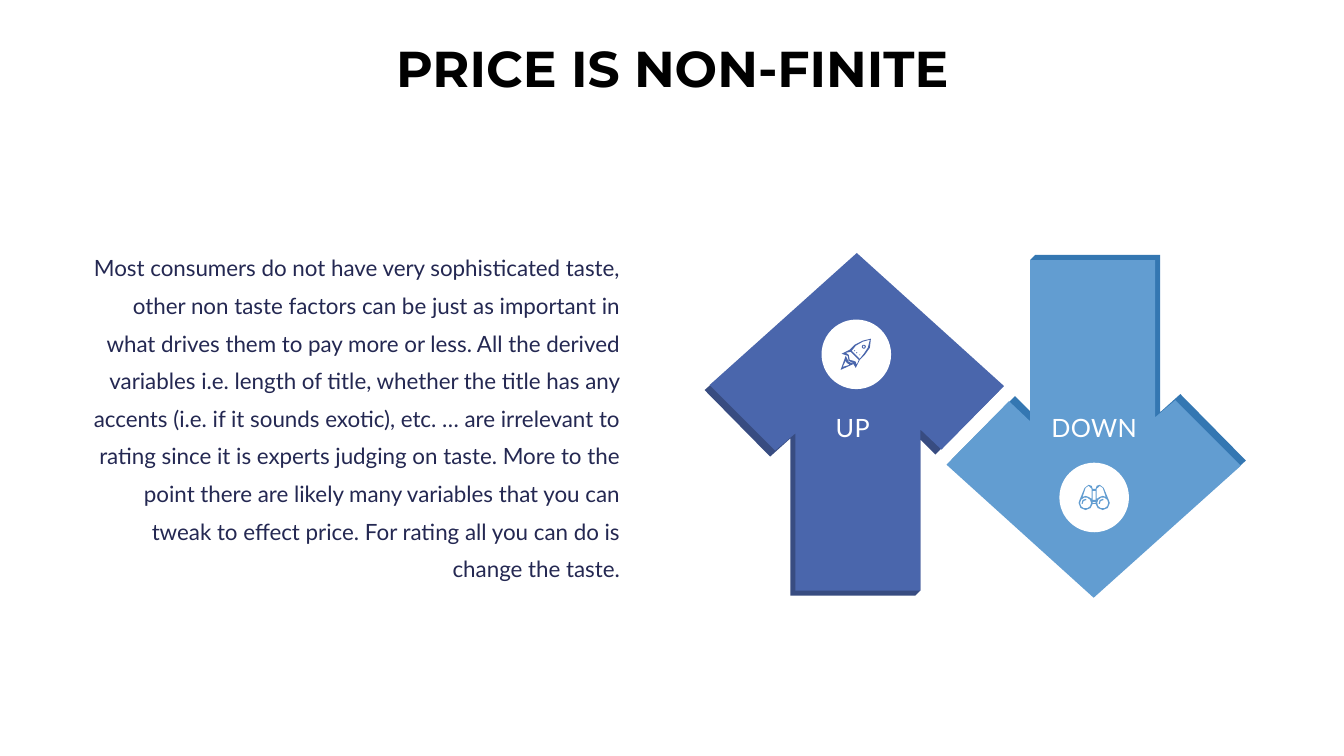
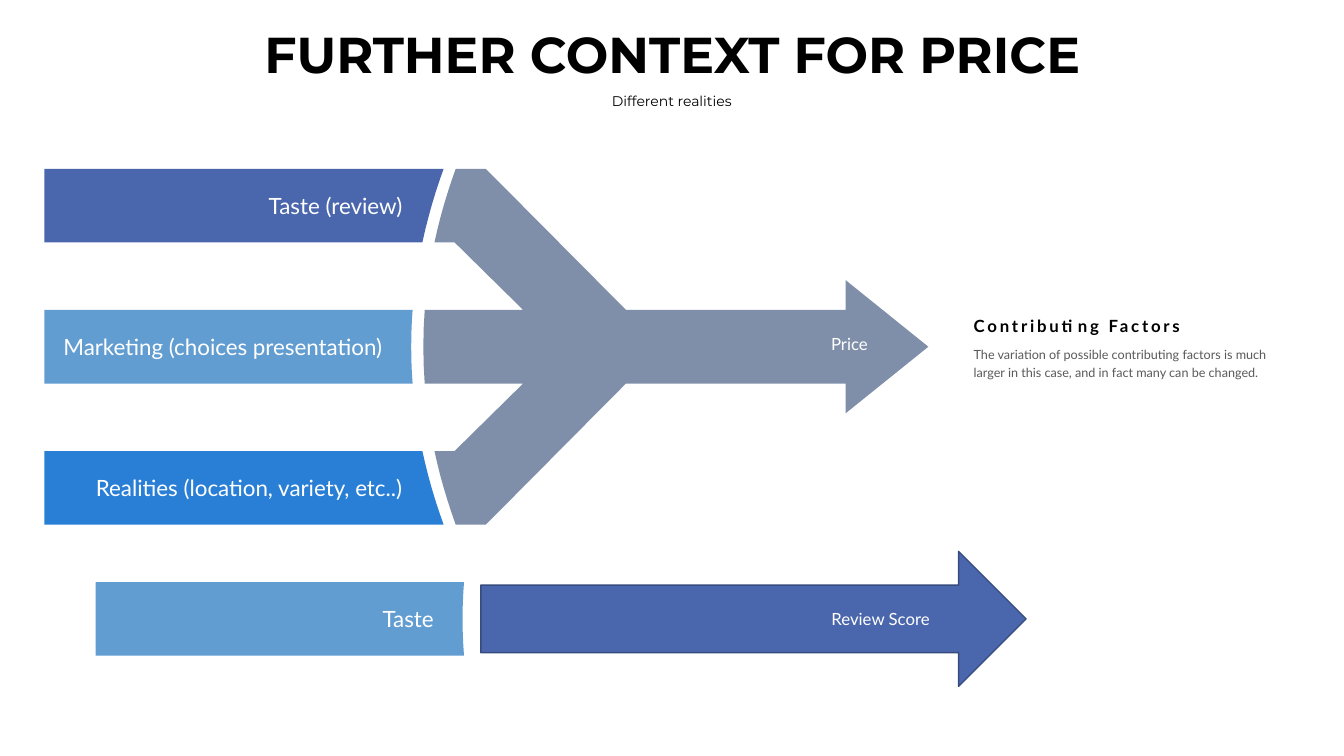
from math import cos, pi, sin

from pptx import Presentation
from pptx.dml.color import RGBColor as RGB
from pptx.enum.shapes import MSO_SHAPE as Shape
from pptx.enum.text import MSO_ANCHOR as Anchor, PP_ALIGN as Align
from pptx.util import Inches, Pt

PX = 9144  # 100 px to the inch

BLACK = RGB(0x00, 0x00, 0x00)
WHITE = RGB(0xFF, 0xFF, 0xFF)
NAVY = RGB(0x24, 0x28, 0x52)
GREY = RGB(0x59, 0x59, 0x59)
BLUE = RGB(0x4A, 0x66, 0xAC)
EDGE = RGB(0x37, 0x4B, 0x7F)
SHADE = RGB(0x38, 0x4C, 0x81)
SKY = RGB(0x62, 0x9D, 0xD1)
DUSK = RGB(0x34, 0x77, 0xB2)
AZURE = RGB(0x29, 0x7F, 0xD5)
SLATE = RGB(0x7F, 0x8F, 0xA9)

HEAD, BODY = "Montserrat", "Lato"

TASTE = (
    "Most consumers do not have very sophisticated taste, other non taste "
    "factors can be just as important in what drives them to pay more or less. "
    "All the derived variables i.e. length of title, whether the title has any "
    "accents (i.e. if it sounds exotic), etc. … are irrelevant to rating since "
    "it is experts judging on taste. More to the point there are likely many "
    "variables that you can tweak to effect price. For rating all you can do "
    "is change the taste."
)
FACTORS = (
    "The variation of possible contributing factors is much larger in this "
    "case, and in fact many can be changed."
)

# Up arrow; the down arrow is the same one turned by half a circle
BACK = [(845, 257), (847, 258), (991, 388), (928, 451), (913, 436), (913, 586),
        (908, 591), (784, 591), (784, 435), (764, 453), (699, 387)]
FACE = [(850, 251), (996, 383), (934, 446), (913, 426), (913, 586),
        (789, 586), (789, 430), (769, 447), (704, 382)]
TURN = (1935, 844)


def ring(x, y, size, steps=10):
    """Points on a circle of the given diameter."""
    angles = [2 * pi * i / steps for i in range(steps)]
    return [(x + size / 2 * cos(a), y + size / 2 * sin(a)) for a in angles]


# Icons: outlines, with inner outlines as holes
ROCKET = [
    [(864, 336), (856, 338), (848, 342), (843, 347), (835, 351), (841, 353),
     (842, 358), (846, 360), (849, 365), (853, 357), (858, 352), (863, 345)],
    [(857, 351), (853, 356), (845, 348), (849, 343), (856, 339), (863, 337),
     (861, 345)],
    [(852, 357), (850, 362), (849, 359), (847, 358), (843, 357), (842, 352),
     (839, 350), (844, 349)],
    [(839, 353), (834, 367), (847, 361), (842, 359)],
    [(836, 364), (839, 358), (840, 360), (843, 362)],
    ring(857, 344, 4), ring(857, 344, 2),
    *[ring(x, y, 1, 4) for x, y in [(848, 348), (850, 350), (853, 352)]],
]

AXIS = 2171  # sum of the x of two mirrored points


def flip(points):
    return [(AXIS - x, y) for x, y in points]


RIM = [(1087, 485), (1088, 482), (1091, 481), (1095, 484), (1100, 496),
       (1101, 499), (1099, 504), (1094, 506), (1089, 504), (1087, 500)]
BARREL = [(1088, 495), (1088, 485), (1091, 482), (1094, 484), (1097, 493),
          (1094, 492), (1091, 493)]
GLINT = [(1090, 500), (1091, 500), (1092, 497), (1095, 496), (1094, 495),
         (1091, 496)]
LENS = ring(1094, 499, 11)
SCOPE = [
    RIM + flip(RIM)[::-1], BARREL, flip(BARREL), LENS, flip(LENS),
    GLINT, [(x - 17, y) for x, y in GLINT],
    *[[(1084, top), (1087, top), (1087, low), (1084, low)]
      for top, low in [(487, 496), (498, 499)]],
]

# Bands: label, colour, left shift, middle, middle of the curve, right margin
MID, BAND, STEP = 344, 73, 140
HALF = BAND / 2
SHIFT, LOW = 51, 614
BANDS = [
    ("Taste (review)", BLUE, 0, MID - STEP, MID, 41),
    ("Marketing (choices presentation)", SKY, 0, MID, MID, 30),
    ("Realities (location, variety, etc..)", AZURE, 0, MID + STEP, MID, 41),
    ("Taste", SKY, SHIFT, LOW, LOW, 30),
]


def paint(shape, fill, line=None):
    shape.shadow.inherit = False
    shape.fill.solid()
    shape.fill.fore_color.rgb = fill
    if line is None:
        shape.line.fill.background()
    else:
        shape.line.color.rgb = line
        shape.line.width = Pt(1)
    return shape


def form(slide, kind, box, fill, line=None):
    shape = slide.shapes.add_shape(kind, *[round(n * PX) for n in box])
    return paint(shape, fill, line)


def poly(slide, parts, fill):
    """Draw closed outlines as one freeform."""
    pen = None
    for part in parts:
        first, *rest = [(round(x * PX), round(y * PX)) for x, y in part]
        if pen is None:
            pen = slide.shapes.build_freeform(*first, scale=1.0)
        else:
            pen.move_to(*first)
        pen.add_line_segments(rest, close=True)
    return paint(pen.convert_to_shape(), fill)


def write(shape, paras, align=Align.LEFT, anchor=Anchor.TOP,
          pad=(10, 5, 10, 5), space=None):
    """Fill a shape with (text, size, colour, font, bold, tracking) paragraphs."""
    frame = shape.text_frame
    frame.word_wrap = True
    frame.vertical_anchor = anchor
    (frame.margin_left, frame.margin_top,
     frame.margin_right, frame.margin_bottom) = [n * PX for n in pad]
    for i, (text, size, colour, font, bold, track) in enumerate(paras):
        para = frame.add_paragraph() if i else frame.paragraphs[0]
        para.alignment = align
        if space:
            para.line_spacing = space
        if i:
            para.space_before = Pt(6)
        run = para.add_run()
        run.text = text
        run.font.size = Pt(size)
        run.font.name = font
        run.font.bold = bold
        run.font.color.rgb = colour
        if track:
            run._r.get_or_add_rPr().set("spc", str(track))


def label(slide, box, paras, **look):
    write(slide.shapes.add_textbox(*[n * PX for n in box]), paras, **look)


def start(deck, title, top):
    """Add a blank slide with the shared title."""
    slide = deck.slides.add_slide(deck.slide_layouts[6])
    label(slide, (217, top, 900, 71),
          [(title, 36, BLACK, HEAD, True, 0)], align=Align.CENTER)
    return slide


def turn(points):
    return [(TURN[0] - x, TURN[1] - y) for x, y in points]


def curve(base, mid, top, low, steps=6):
    """Points from top to low along the bowed edge shared by bands and arrow."""
    ys = [top + (low - top) * i / steps for i in range(steps + 1)]
    return [(base + (y - mid) ** 2 / 970, y) for y in ys]


def finite(deck):
    slide = start(deck, "PRICE IS NON-FINITE", 32)
    label(slide, (72, 237, 553, 382), [(TASTE, 16, NAVY, BODY, False, 0)],
          align=Align.RIGHT, space=1.4)
    arrows = [
        (BACK, FACE, SHADE, BLUE, (815, 317), ROCKET, "UP", (814, 404, 64, 40)),
        (turn(BACK), turn(FACE), DUSK, SKY, (1051, 459), SCOPE, "DOWN",
         (1032, 404, 107, 40)),
    ]
    for back, face, dark, light, spot, icon, word, box in arrows:
        poly(slide, [back], dark)
        poly(slide, [face], light)
        form(slide, Shape.OVAL, (*spot, 69, 69), WHITE)
        poly(slide, icon, light)
        label(slide, box, [(word, 18, WHITE, BODY, False, 30)], align=Align.CENTER)


def context(deck):
    slide = start(deck, "FURTHER CONTEXT FOR PRICE", 18)
    label(slide, (443, 87, 447, 27),
          [("Different realities", 10, BLACK, HEAD, False, 0)], align=Align.CENTER)

    top = MID - STEP
    upper = curve(420, MID, MID, MID - HALF, 2)
    upper += [(519, MID - HALF), (451, top + HALF)]
    upper += curve(420, MID, top + HALF, top - HALF)
    upper += [(482, top - HALF), (621, MID - HALF), (839, MID - HALF),
              (839, MID - 66), (921, MID)]
    lower = [(x, 2 * MID - y) for x, y in upper[-2:0:-1]]
    price = poly(slide, [upper + lower], SLATE)
    write(price, [("Price", 12, WHITE, BODY, False, 0)], align=Align.RIGHT,
          anchor=Anchor.MIDDLE, pad=(10, 0, 60, 5))

    for text, fill, shift, mid, bow, pad in BANDS:
        left = 44 + shift
        edge = curve(408 + shift, bow, mid - HALF, mid + HALF)
        band = poly(slide, [[(left, mid - HALF), *edge, (left, mid + HALF)]], fill)
        write(band, [(text, 16, WHITE, BODY, False, 0)], align=Align.RIGHT,
              anchor=Anchor.MIDDLE, pad=(10, 5, pad, 5))

    label(slide, (953, 304, 337, 79),
          [("Contributing Factors", 12, BLACK, BODY, True, 200),
           (FACTORS, 9, GREY, BODY, False, 0)], pad=(13, 5, 13, 7), space=1.2)
    score = form(slide, Shape.RIGHT_ARROW, (477, 547, 541, 134), BLUE, EDGE)
    write(score, [("Review Score", 12, WHITE, BODY, False, 0)], align=Align.RIGHT,
          anchor=Anchor.MIDDLE, pad=(10, 5, 62, 5))


def main():
    deck = Presentation()
    deck.slide_width, deck.slide_height = Inches(40) // 3, Inches(7.5)
    finite(deck)
    context(deck)
    deck.save("out.pptx")


if __name__ == "__main__":
    main()
